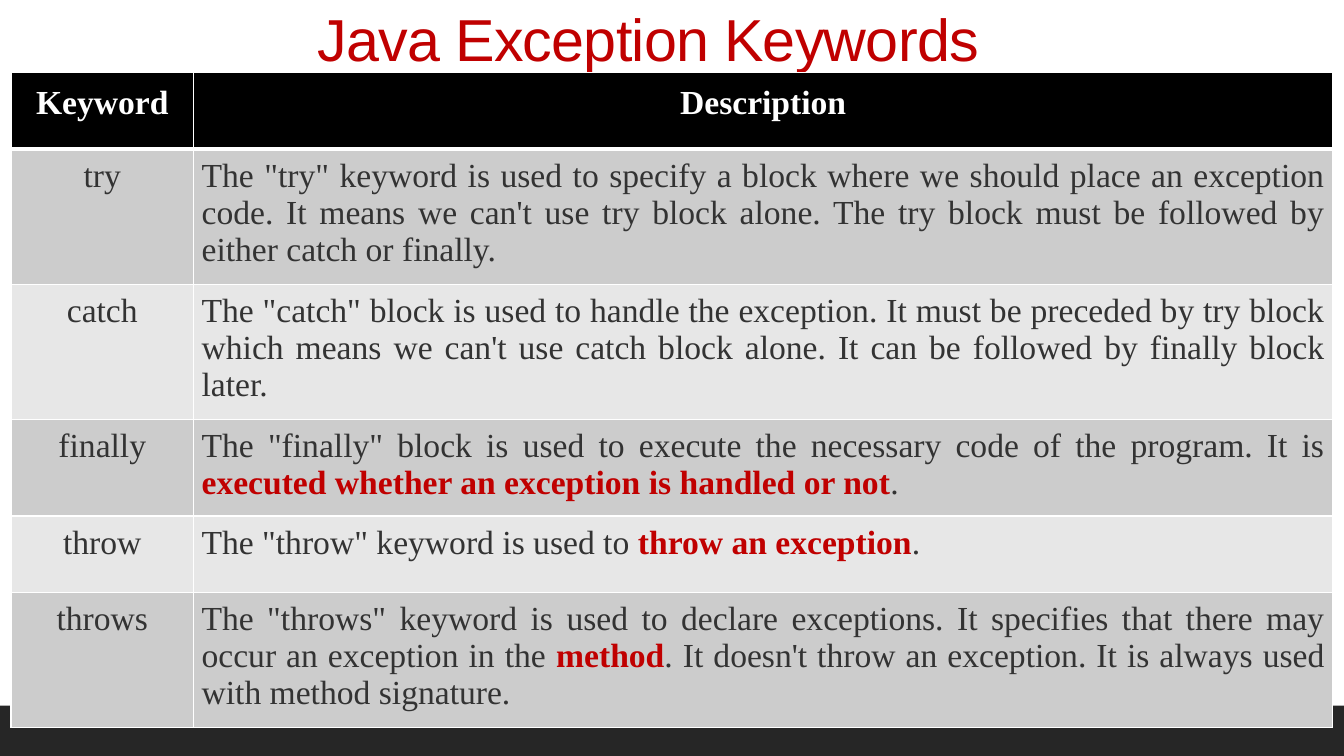
from lxml import etree
from pptx import Presentation
from pptx import util as u
from pptx.dml.color import RGBColor
from pptx.enum import shapes, text
from pptx.oxml.ns import qn

KEYWORDS = [
    ("try", 'The "try" keyword is used to specify a block where we should place an exception code. '
            "It means we can't use try block alone. The try block must be followed by either catch or finally."),
    ("catch", 'The "catch" block is used to handle the exception. It must be preceded by try block '
              "which means we can't use catch block alone. It can be followed by finally block later."),
    ("finally", 'The "finally" block is used to execute the necessary code of the program. It is '
                "**executed whether an exception is handled or not**."),
    ("throw", 'The "throw" keyword is used to **throw an exception**.'),
    ("throws", 'The "throws" keyword is used to declare exceptions. It specifies that there may occur '
               "an exception in the **method**. It doesn't throw an exception. "
               "It is always used with method signature."),
]


def px(length):
    """Turn px, 100 to the inch, into EMU."""
    return u.Emu(length * 9144)


def color(value):
    """Turn a hex string into a colour."""
    return RGBColor.from_string(value)


def write(paragraph, content, font, size, ink, accent=None, bold=False, align="LEFT", tracking=None):
    """Write content, setting parts between ** in bold accent colour."""
    paragraph.alignment = getattr(text.PP_ALIGN, align)
    for index, part in enumerate(content.split("**")):
        marked = index % 2 == 1
        run = paragraph.add_run()
        run.text = part
        run.font.name = font
        run.font.size = u.Pt(size)
        run.font.bold = bold or marked
        run.font.color.rgb = color(accent if marked else ink)
        if tracking:
            run._r.get_or_add_rPr().set("spc", str(tracking))


class KeywordSlide:
    """Hold the style and the current slide."""

    heading_font, body_font = "Arial", "Times New Roman"
    red, ink, white, black, charcoal = "C00000", "333333", "FFFFFF", "000000", "262626"
    bands = ("CCCCCC", "E7E7E7")

    def __init__(self, deck):
        """Add a title-only slide."""
        self.slide = deck.slides.add_slide(deck.slide_layouts[5])

    def bar(self, left, top, width, height):
        """Draw a plain filled bar."""
        footer = self.slide.shapes.add_shape(
            shapes.MSO_SHAPE.RECTANGLE, px(left), px(top), px(width), px(height))
        footer.shadow.inherit = False
        footer.fill.solid()
        footer.fill.fore_color.rgb = color(self.charcoal)
        footer.line.fill.background()

    def title(self, content, left, top, width, height):
        """Place and format the title."""
        heading = self.slide.shapes.title
        heading.left, heading.top, heading.width, heading.height = map(px, (left, top, width, height))
        frame = heading.text_frame
        frame.word_wrap = True
        frame.auto_size = text.MSO_AUTO_SIZE.NONE
        frame.vertical_anchor = text.MSO_ANCHOR.TOP
        frame.margin_left = frame.margin_top = px(10)
        line = frame.paragraphs[0]
        line.line_spacing = 0.9
        write(line, content, self.heading_font, 42.3, self.red, tracking=-50)

    def borders(self, cell, top, bottom):
        """Draw white cell borders with widths in points."""
        properties = cell._tc.get_or_add_tcPr()
        for side, width in (("L", 1), ("R", 1), ("T", top), ("B", bottom)):
            edge = etree.SubElement(properties, qn(f"a:ln{side}"), w=str(u.Pt(width)))
            fill = etree.SubElement(edge, qn("a:solidFill"))
            etree.SubElement(fill, qn("a:srgbClr"), val=self.white)

    def cell(self, cell, content, fill, inset, top=1, bottom=1, **style):
        """Fill, border and write one cell."""
        cell.margin_left = cell.margin_right = cell.margin_top = cell.margin_bottom = px(inset)
        self.borders(cell, top, bottom)
        cell.fill.solid()
        cell.fill.fore_color.rgb = color(fill)
        write(cell.text_frame.paragraphs[0], content, self.body_font, 24, accent=self.red, **style)

    def table(self, header, entries, left, top, columns, rows):
        """Build the header row and the banded entries."""
        grid = self.slide.shapes.add_table(
            len(rows), len(columns), px(left), px(top), px(sum(columns)), px(sum(rows))).table
        for column, width in zip(grid.columns, columns):
            column.width = px(width)
        for row, height in zip(grid.rows, rows):
            row.height = px(height)
        for column, label in enumerate(header):
            self.cell(grid.cell(0, column), label, self.black, 12, bottom=3,
                      ink=self.white, bold=True, align="CENTER")
        for row, entry in enumerate(entries, 1):
            for column, align in enumerate(("CENTER", "JUSTIFY")):
                self.cell(grid.cell(row, column), entry[column], self.bands[(row - 1) % 2], 8,
                          top=3 if row == 1 else 1, ink=self.ink, align=align)


def main():
    """Build and save the slide."""
    deck = Presentation()
    deck.slide_width, deck.slide_height = px(1333), px(750)
    page = KeywordSlide(deck)
    page.bar(0, 700, 1333, 50)
    page.title("Java Exception Keywords", 305, 0, 776, 143)
    page.table(("Keyword", "Description"), KEYWORDS, 11, 72,
               columns=(181, 1130), rows=(76, 134, 134, 96, 76, 134))
    deck.save("out.pptx")


if __name__ == "__main__":
    main()
